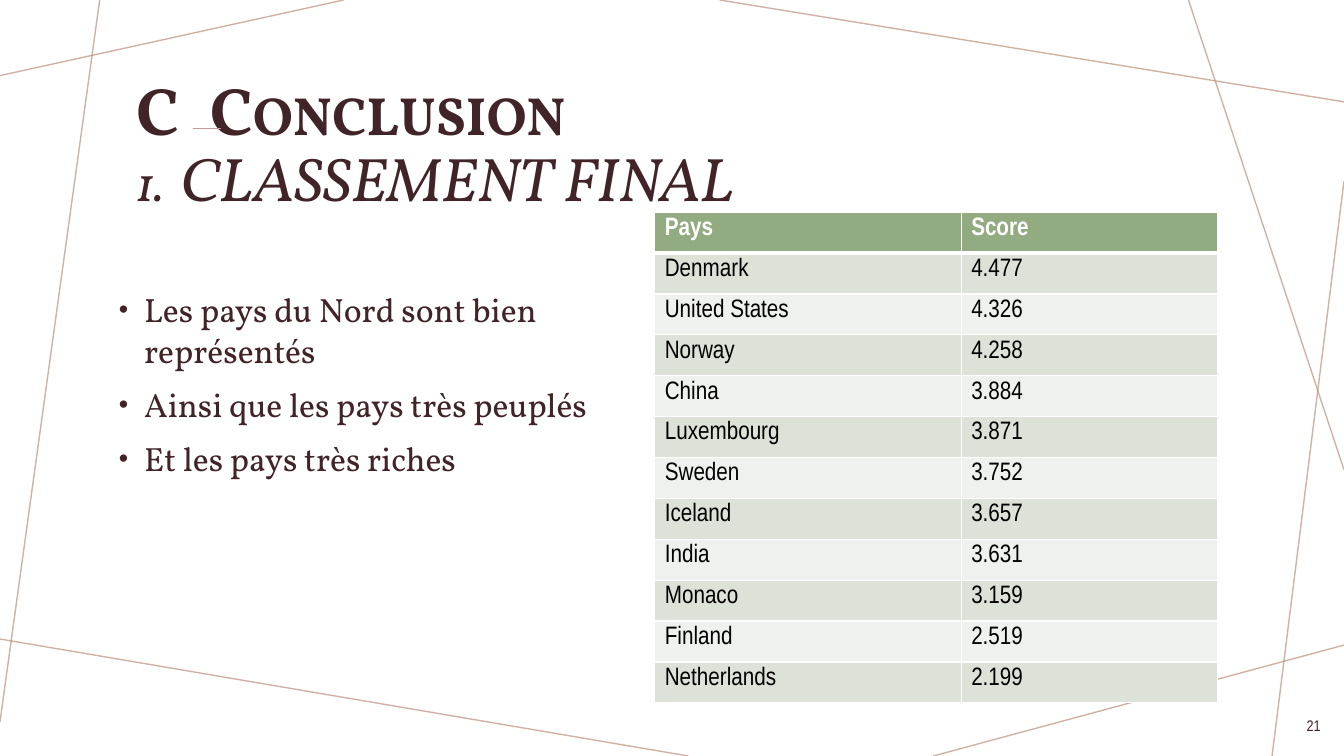
from dataclasses import dataclass
from lxml import etree
from pptx import Presentation
from pptx.dml.color import RGBColor
from pptx.enum.shapes import MSO_CONNECTOR
from pptx.enum.text import MSO_ANCHOR, MSO_AUTO_SIZE, PP_ALIGN
from pptx.oxml import parse_xml
from pptx.oxml.ns import nsdecls, qn
from pptx.util import Inches, Pt

STRAIGHT = MSO_CONNECTOR.STRAIGHT
MIDDLE, TOP = MSO_ANCHOR.MIDDLE, MSO_ANCHOR.TOP
LEFT, RIGHT = PP_ALIGN.LEFT, PP_ALIGN.RIGHT
NO_FIT = MSO_AUTO_SIZE.NONE


@dataclass(frozen=True)
class Theme:
    serif: str = "Vollkorn"
    sans: str = "Arial Narrow"
    ink: str = "412427"
    frame: str = "BA927F"
    dash: str = "C6969B"
    white: str = "FFFFFF"
    black: str = "000000"
    header: str = "93AB81"
    bands: tuple = ("DCE2D8", "EEF1ED")
    title: int = 48
    subtitle: int = 44
    body: int = 24
    cell: int = 18
    number: int = 11


theme = Theme()
deck = Presentation()
deck.slide_width, deck.slide_height = Inches(13.333), Inches(7.5)
slide = deck.slides.add_slide(deck.slide_layouts[1])


def area(left, top, width, height):
    """Turn percentages of the slide into lengths."""
    w, h = deck.slide_width / 100, deck.slide_height / 100
    return int(left * w), int(top * h), int(width * w), int(height * h)


def style(run, font, size, color, bold=False, italic=False):
    run.font.name, run.font.size = font, Pt(size)
    run.font.color.rgb = RGBColor.from_string(color)
    run.font.bold, run.font.italic = bold, italic


# Frame lines, then the dash inside the title: start and end in percent
frame_lines = [
    (25.57, 0, 0, 10),
    (7.42, 0, 0, 95.47),
    (51.22, 100, 0, 84.53),
    (100, 85.33, 69.45, 100),
    (100, 24, 94.65, 100),
    (100, 62.13, 88.43, 0),
    (100, 13.47, 53.55, 0),
]
title_dash = (14.33, 16.93, 16.43, 16.93)
for ends in frame_lines + [title_dash]:
    is_dash = ends == title_dash
    rule = slide.shapes.add_connector(STRAIGHT, *area(*ends))
    rule.line.width = Pt(0.5 if is_dash else 1)
    rule.line.color.rgb = RGBColor.from_string(theme.dash if is_dash else theme.frame)
    if not is_dash:
        tint = rule._element.spPr.find(".//" + qn("a:srgbClr"))
        etree.SubElement(tint, qn("a:alpha")).set("val", "70000")
    etree.SubElement(rule._element.spPr, qn("a:effectLst"))

# Title and subtitle: label, tab stop, heading
title = slide.shapes.title
title.left, title.top, title.width, title.height = area(9.38, 4.93, 81.22, 20.13)
subtitle = slide.shapes.add_textbox(*area(9.38, 17.33, 81.22, 13.33))
headings = [
    (title, ("C\t", "Conclusion"), theme.title, True, 5.48, 2),
    (subtitle, ("1.\t", "CLASSEMENT FINAL"), theme.subtitle, False, 3.3, 1),
]
for heading, pieces, size, bold, tab_share, small_caps in headings:
    frame = heading.text_frame
    frame.word_wrap, frame.auto_size, frame.vertical_anchor = True, NO_FIT, MIDDLE
    line = frame.paragraphs[0]
    line.alignment, line.line_spacing = LEFT, 0.9
    tabs = etree.SubElement(line._p.get_or_add_pPr(), qn("a:tabLst"))
    stop = etree.SubElement(tabs, qn("a:tab"))
    stop.set("pos", str(area(tab_share, 0, 0, 0)[0]))
    stop.set("algn", "l")
    for index, piece in enumerate(pieces):
        run = line.add_run()
        run.text = piece
        style(run, theme.serif, size, theme.ink, bold, not bold)
        if index < small_caps:
            run._r.get_or_add_rPr().set("cap", "small")

# Findings
findings = slide.placeholders[1]
findings.left, findings.top, findings.width, findings.height = area(8.1, 37.6, 37.72, 58.53)
frame = findings.text_frame
frame.auto_size, frame.vertical_anchor = NO_FIT, TOP
frame.text = "\n".join([
    "Les pays du Nord sont bien représentés",
    "Ainsi que les pays très peuplés",
    "Et les pays très riches",
])
for finding in frame.paragraphs:
    finding.space_before = Pt(10)
    style(finding.runs[0], theme.serif, theme.body, theme.ink)
    layout = finding._p.get_or_add_pPr()
    layout.set("marL", str(Inches(0.25)))
    layout.set("indent", str(-Inches(0.25)))
    etree.SubElement(layout, qn("a:buSzPct")).set("val", "80000")

# Ranking table
ranking = [
    ("Pays", "Score"),
    ("Denmark", "4.477"),
    ("United States", "4.326"),
    ("Norway", "4.258"),
    ("China", "3.884"),
    ("Luxembourg", "3.871"),
    ("Sweden", "3.752"),
    ("Iceland", "3.657"),
    ("India", "3.631"),
    ("Monaco", "3.159"),
    ("Finland", "2.519"),
    ("Netherlands", "2.199"),
]
column_shares, row_share = (22.8, 19.05), 5.41
table = slide.shapes.add_table(
    len(ranking), 2,
    *area(48.72, 28.08, sum(column_shares), row_share * len(ranking))).table
for column, share in zip(table.columns, column_shares):
    column.width = area(0, 0, share, 0)[2]
for r, entry in enumerate(ranking):
    is_header = r == 0
    for c, value in enumerate(entry):
        cell = table.cell(r, c)
        cell.text = value
        style(cell.text_frame.paragraphs[0].runs[0], theme.sans, theme.cell,
              theme.white if is_header else theme.black, is_header)
        borders = cell._tc.get_or_add_tcPr()
        for side in ("lnL", "lnR", "lnT", "lnB"):
            thick = (is_header and side == "lnB") or (r == 1 and side == "lnT")
            borders.append(parse_xml(
                f'<a:{side} {nsdecls("a")} w="{Pt(3 if thick else 1)}"><a:solidFill>'
                f'<a:srgbClr val="{theme.white}"/></a:solidFill></a:{side}>'))
        cell.fill.solid()
        cell.fill.fore_color.rgb = RGBColor.from_string(
            theme.header if is_header else theme.bands[(r - 1) % 2])

# Page number
page_number = slide.shapes.add_textbox(*area(95.18, 93.33, 3.83, 5.33))
frame = page_number.text_frame
frame.word_wrap, frame.vertical_anchor = True, MIDDLE
frame.text = "21"
frame.paragraphs[0].alignment = RIGHT
style(frame.paragraphs[0].runs[0], theme.sans, theme.number, theme.ink)

deck.save("out.pptx")
